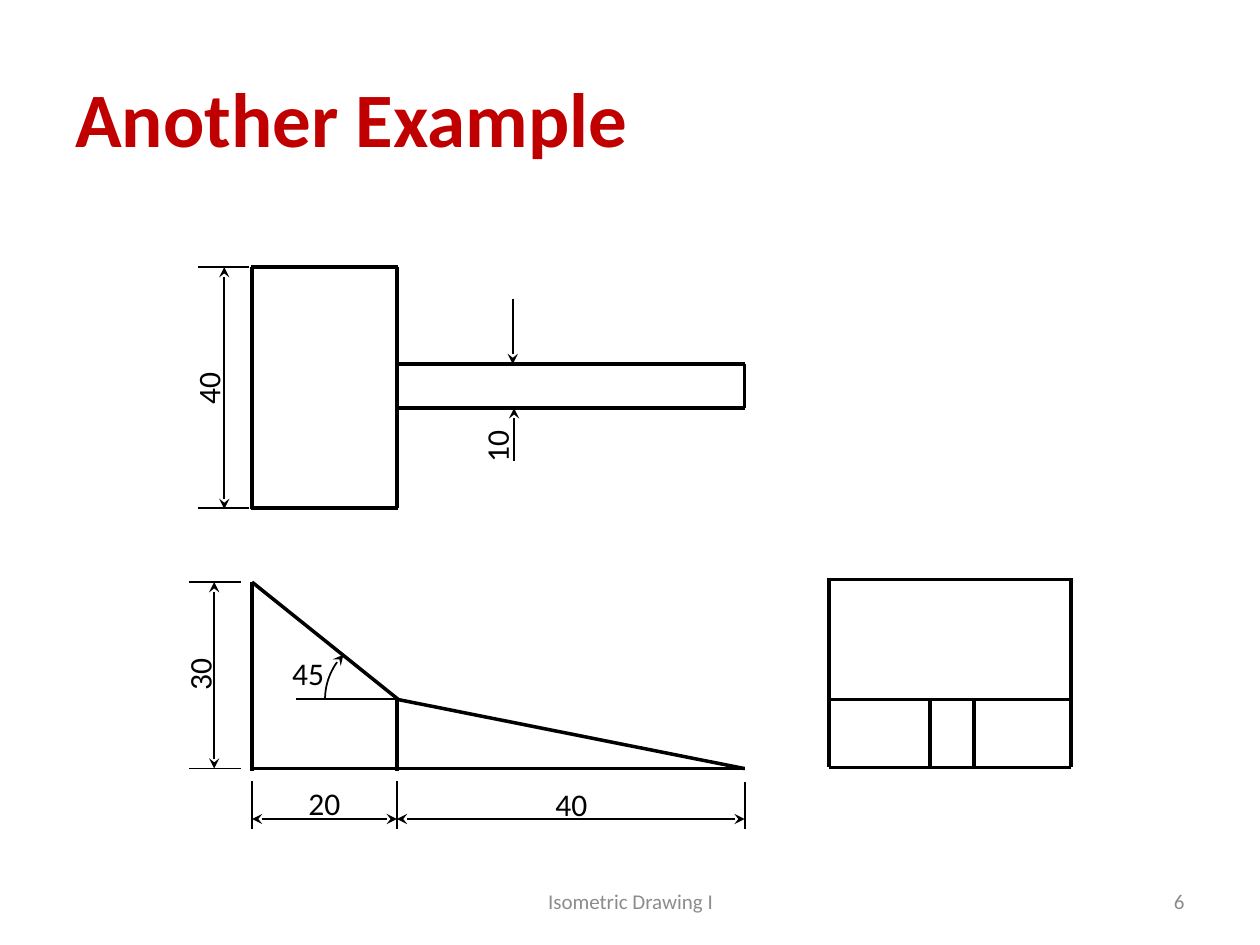
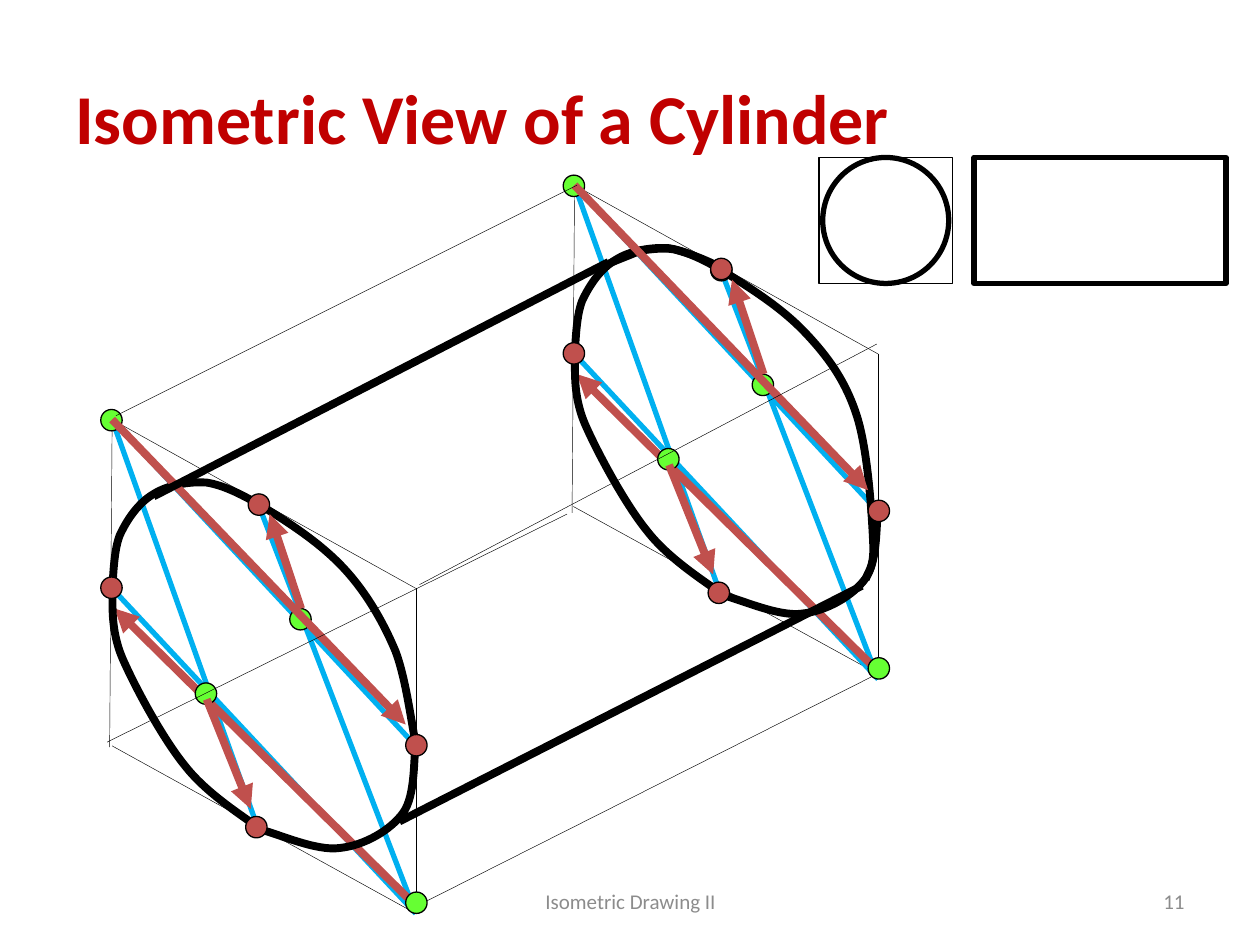
from lxml.etree import SubElement
from pptx import Presentation
from pptx.dml.color import RGBColor
from pptx.enum.shapes import MSO_CONNECTOR, MSO_SHAPE
from pptx.enum.text import MSO_ANCHOR, PP_ALIGN
from pptx.oxml.ns import qn
from pptx.util import Inches, Pt

COLS = {"ink": "000000", "title": "C00000", "foot": "8C8C8C",
        "blue": "00B0F0", "red": "C0504D", "green": "66FF33"}
FONT = "Calibri"


def write(text, box, size=18, col="ink", bold=False, align=PP_ALIGN.LEFT,
          anchor=MSO_ANCHOR.TOP, wrap=True, turn=0):
    shape = slide.shapes.add_textbox(*[Inches(v) for v in box])
    shape.rotation = turn
    frame = shape.text_frame
    frame.word_wrap = wrap
    frame.vertical_anchor = anchor
    para = frame.paragraphs[0]
    para.alignment = align
    run = para.add_run()
    run.text = text
    run.font.name = FONT
    run.font.size = Pt(size)
    run.font.bold = bold
    run.font.color.rgb = RGBColor.from_string(COLS[col])


def draw(pts, width=1, col="ink", head=None, tail=None, free=False):
    """Two points give a straight line, more give a chain of cubic curves."""
    spots = [(Inches(x), Inches(y)) for x, y in pts]
    if len(pts) == 2 and not free:
        shape = slide.shapes.add_connector(MSO_CONNECTOR.STRAIGHT, *spots[0], *spots[1])
    else:
        form = slide.shapes.build_freeform(*spots[0])
        form.add_line_segments(spots[1:], close=False)
        shape = form.convert_to_shape()
        shape.fill.background()
    if len(pts) > 2:
        # Join each three points into one curve
        trail = next(shape.element.iter(qn("a:path")))
        steps = trail.findall(qn("a:lnTo"))
        for i in range(0, len(steps), 3):
            curve = SubElement(trail, qn("a:cubicBezTo"))
            for step in steps[i:i + 3]:
                curve.append(step[0])
                trail.remove(step)
    shape.line.width = Pt(width)
    shape.line.color.rgb = RGBColor.from_string(COLS[col])
    props = shape.element.spPr
    for tag, kind in (("a:headEnd", head), ("a:tailEnd", tail)):
        if kind:
            SubElement(props.find(qn("a:ln")), qn(tag), type=kind)
    SubElement(props, qn("a:effectLst"))


deck = Presentation()
deck.slide_width, deck.slide_height = Inches(10), Inches(7.5)

# Title and footer of both slides
pages = []
for title, size, foot, num in (("Another Example", 44, "Isometric Drawing I", "6"),
                               ("Isometric View of a Cylinder", 40, "Isometric Drawing II", "11")):
    slide = deck.slides.add_slide(deck.slide_layouts[6])
    pages.append(slide)
    write(title, (0.5, 0.3, 9, 1.25), size, "title", True, anchor=MSO_ANCHOR.MIDDLE)
    write(foot, (3.42, 6.95, 3.17, 0.4), 12, "foot", align=PP_ALIGN.CENTER,
          anchor=MSO_ANCHOR.MIDDLE)
    write(num, (7.17, 6.95, 2.33, 0.4), 12, "foot", align=PP_ALIGN.RIGHT,
          anchor=MSO_ANCHOR.MIDDLE)

# Slide 1: three views with sizes
slide = pages[0]
left, mid, right = 2, 3.15, 5.91
top, base = 4.62, 6.1
knee = (mid, 5.55)

edges = [
    # Top view
    ((left, 2.12), (left, 4.04)), ((mid, 2.12), (mid, 4.03)),
    ((3.16, 2.12), (1.99, 2.12)), ((3.16, 4.03), (1.99, 4.03)),
    ((right, 2.89), (3.16, 2.89)), ((right, 3.24), (3.16, 3.24)),
    ((right, 2.89), (right, 3.24)),
    # Front view
    ((left, top), (left, 6.12)), ((3.16, base), (left, base)),
    ((right, base), (3.16, base)), (knee, (mid, 6.12)),
    ((left, top), (3.16, 5.55)), (knee, (right, base)),
    # Side view
    ((7.38, 5.56), (7.38, base)), ((7.73, 5.55), (7.73, base)),
]
edges += [((x, 4.59), (x, 6.09)) for x in (6.58, 8.5)]
edges += [((8.5, y), (6.58, y)) for y in (4.6, 5.55, 6.09)]
for edge in edges:
    draw(edge, 2)

# Extension lines
for x, y in ((left, 6.2), (mid, 6.2), (right, 6.21)):
    draw(((x, 6.58), (x, y)))
for y in (top, base):
    draw(((1.91, y), (1.5, y)))
for y in (2.12, 4.03):
    draw(((1.98, y), (1.57, y)))
draw(((3.16, 5.55), (2.35, 5.55)))

# Dimension lines
for span in (((mid, 6.5), (left, 6.5)), ((right, 6.5), (mid, 6.5)),
             ((1.7, base), (1.7, top)), ((1.78, 4.04), (1.78, 2.12))):
    draw(span, head="stealth", tail="stealth")
draw(((4.08, 3.66), (4.08, 3.24)), tail="stealth")
draw(((4.07, 2.37), (4.07, 2.89)), tail="stealth")

# Angle mark: 180 to 225 degrees
arc = slide.shapes.add_shape(MSO_SHAPE.ARC, Inches(2.58), Inches(5.05), Inches(1), Inches(1))
arc.shadow.inherit = False
arc.adjustments[0], arc.adjustments[1] = 108, 135
arc.fill.background()
arc.line.width = Pt(1)
arc.line.color.rgb = RGBColor.from_string(COLS["ink"])
SubElement(arc.element.spPr.find(qn("a:ln")), qn("a:tailEnd"), type="stealth")

for text, x, y, turn in (("20", 2.35, 6.17, 0), ("40", 4.31, 6.18, 0), ("45", 2.22, 5.14, 0),
                         ("30", 1.35, 5.15, 270), ("40", 1.42, 2.88, 270),
                         ("10", 3.71, 3.34, 270)):
    write(text, (x, y, 0.46, 0.4), wrap=False, turn=turn)

# Slide 2: cylinder, its near end given and its far end shifted
slide = pages[1]
shift = (3.67, -1.86)
side = [((0.87, 5.93), (0.89, 3.33))]
frame = [((0.89, 3.33), (3.3, 4.67)), ((3.3, 4.67), (3.3, 7.25))]
rays = [((3.3, 7.25), (2.05, 4)), ((3.3, 7.25), (0.89, 4.67)),
        ((0.89, 3.33), (2.05, 6.58)), ((0.89, 3.33), (3.3, 5.92))]
long = [((0.91, 4.83), (3.3, 7.19))]
short = [((2.14, 4.08), (2.39, 4.83))]
radii = [((0.89, 3.33), (3.22, 5.75)), ((1.64, 5.55), (1.99, 6.42))]
arcs = [
    [(0.89, 4.67), (0.9, 4.6), (0.9, 4.38), (0.95, 4.25), (1.01, 4.12), (1.1, 3.99),
     (1.22, 3.92), (1.33, 3.85), (1.5, 3.82), (1.64, 3.83), (1.77, 3.85), (1.91, 3.92),
     (2.05, 4)],
    [(3.3, 5.92), (3.28, 6.01), (3.3, 6.31), (3.2, 6.45), (3.1, 6.59), (2.89, 6.71),
     (2.7, 6.73), (2.51, 6.76), (2.19, 6.61), (2.05, 6.58)],
    [(2.05, 6.57), (1.95, 6.49), (1.65, 6.31), (1.47, 6.08), (1.29, 5.86), (1.07, 5.45),
     (0.97, 5.22), (0.87, 4.98), (0.9, 4.78), (0.89, 4.67)],
]
near = [[(2.05, 4), (2.3, 4.15), (2.54, 4.31), (2.72, 4.5), (2.9, 4.69), (3.04, 4.93),
         (3.14, 5.17), (3.23, 5.41), (3.27, 5.78), (3.31, 5.95)]]
far = [[(5.72, 2.14), (5.96, 2.29), (6.2, 2.44), (6.39, 2.64), (6.57, 2.83), (6.71, 3.02),
        (6.8, 3.3), (6.89, 3.58), (6.92, 4.09), (6.93, 4.31), (6.94, 4.52), (6.88, 4.54),
        (6.87, 4.6)],
       [(4.84, 2.09), (4.88, 2.07), (5.04, 2.01), (5.08, 1.99), (5.12, 1.98), (5.02, 2),
        (5.06, 1.99), (5.11, 1.99), (5.24, 1.96), (5.35, 1.98), (5.47, 2.01),
        (5.63, 2.07), (5.77, 2.15)]]
reds = [(1.95, 6.48), (3.22, 5.83), (1.97, 3.92), (0.8, 4.58)]
greens = [(3.22, 7.08), (2.3, 4.83), (1.55, 5.42), (0.8, 3.25)]
tip = "triangle"

draw(((3.27, 7.21), (7, 5.33)), 0.25, free=True)
for (dx, dy), own, floor, extra in (
        ((0, 0), near, ((3.3, 7.25), (0.89, 5.92)), []),
        (shift, far, ((6.97, 5.35), (4.55, 4.02)), [(1.97, 3.91)])):
    draw(floor, 0.25)
    for group, form in ((side, {"width": 0.25, "free": True}),
                        (frame, {"width": 0.25}),
                        (rays, {"width": 3, "col": "blue"}),
                        (long, {"width": 4.5, "col": "red", "head": tip, "free": True}),
                        (arcs, {"width": 4.5})):
        for pts in group:
            draw([(x + dx, y + dy) for x, y in pts], **form)
    for pts in own:
        draw(pts, 4.5)
    for col, spots in (("red", reds + extra), ("green", greens)):
        for x, y in spots:
            dot = slide.shapes.add_shape(MSO_SHAPE.OVAL, Inches(x + dx), Inches(y + dy),
                                         Inches(0.17), Inches(0.17))
            dot.shadow.inherit = False
            dot.fill.solid()
            dot.fill.fore_color.rgb = RGBColor.from_string(COLS[col])
            dot.line.width = Pt(0.75)
            dot.line.color.rgb = RGBColor.from_string(COLS["ink"])
    for group, form in ((short, {"head": tip}), (radii, {"tail": tip, "free": True})):
        for pts in group:
            draw([(x + dx, y + dy) for x, y in pts], 4.5, "red", **form)

# Long edges and tangents
draw(((0.92, 3.3), (4.58, 1.47)), 0.25)
for width, pts in ((0.25, ((0.85, 5.89), (4.5, 4.08))), (0.25, ((3.33, 4.64), (6.96, 2.73))),
                   (4.5, ((1.22, 3.94), (4.83, 2.08))), (4.5, ((3.17, 6.52), (6.84, 4.65)))):
    draw(pts, width, free=True)

# End view and side view
for kind, x, wide, width in ((MSO_SHAPE.OVAL, 6.53, 1, 3), (MSO_SHAPE.RECTANGLE, 7.73, 2, 3),
                             (MSO_SHAPE.RECTANGLE, 6.5, 1.06, 0.75)):
    view = slide.shapes.add_shape(kind, Inches(x), Inches(1.25), Inches(wide), Inches(1))
    view.shadow.inherit = False
    view.fill.background()
    view.line.width = Pt(width)
    view.line.color.rgb = RGBColor.from_string(COLS["ink"])

deck.save("out.pptx")
